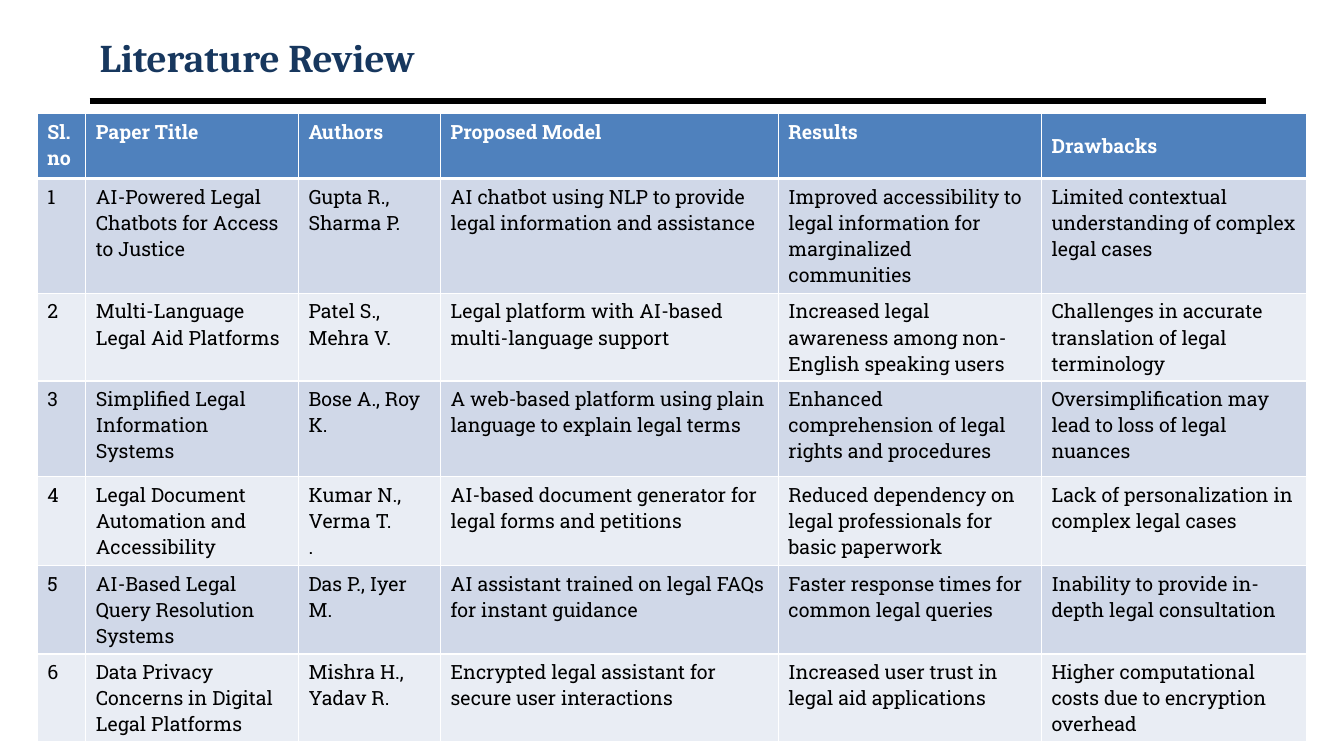
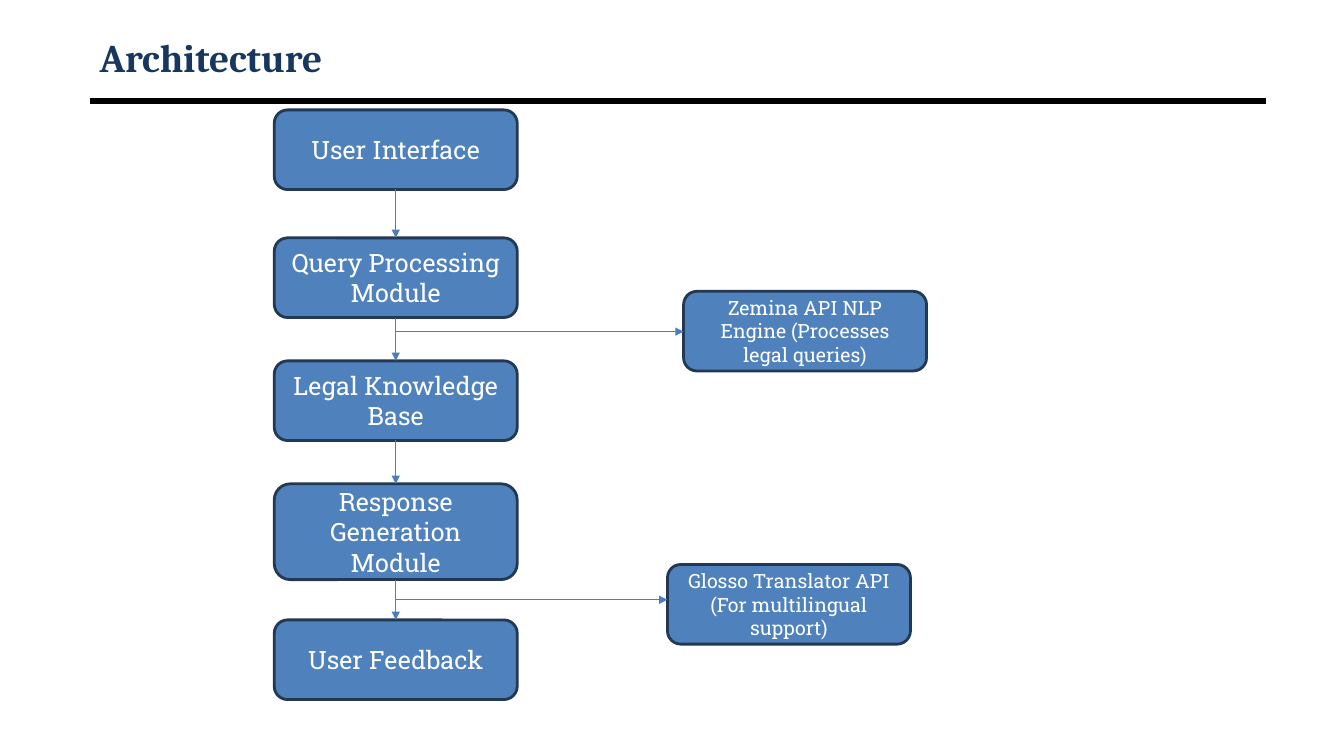
import itertools

import lxml.etree
import pptx
import pptx.dml.color
import pptx.enum.shapes
import pptx.enum.text
import pptx.oxml.ns
import pptx.util

Inches = pptx.util.Inches
Pt = pptx.util.Pt
qn = pptx.oxml.ns.qn
ANCHOR = pptx.enum.text.MSO_ANCHOR
ALIGN = pptx.enum.text.PP_ALIGN

COLORS = {
    "title": "17375E", "rule": "000000", "accent": "4F81BD", "outline": "233953",
    "arrow": "4B7EBC", "odd": "D0D8E8", "even": "E9EDF4", "light": "FFFFFF", "dark": "000000",
}
FORMATS = {
    "title": {"name": "Cambria", "size": Pt(28), "bold": True},
    "header": {"name": "Roboto Slab", "size": Pt(14), "bold": True},
    "body": {"name": "Roboto Slab", "size": Pt(14), "bold": False},
    "step": {"name": "Roboto Slab", "size": Pt(18), "bold": False},
}
TITLE_BOX = (0.89, 0.3, 11.67, 0.53)
RULE_Y = 1

COLUMNS = [0.48, 2.11, 1.41, 3.35, 2.61, 2.63]
ROWS = [0.64, 1.14, 0.87, 0.95, 0.88, 0.88, 0.87]
MIDDLE_CELLS = {(0, 5), (6, 1)}
PAPERS = [
    ("Sl.no", "Paper Title", "Authors", "Proposed Model", "Results", "Drawbacks"),
    ("1", "AI-Powered Legal Chatbots for Access to Justice", "Gupta R., Sharma P.",
     "AI chatbot using NLP to provide legal information and assistance",
     "Improved accessibility to legal information for marginalized communities",
     "Limited contextual understanding of complex legal cases"),
    ("2", "Multi-Language Legal Aid Platforms", "Patel S., Mehra V.",
     "Legal platform with AI-based multi-language support",
     "Increased legal awareness among non-English speaking users",
     "Challenges in accurate translation of legal terminology"),
    ("3", "Simplified Legal Information Systems", "Bose A., Roy K.",
     "A web-based platform using plain language to explain legal terms",
     "Enhanced comprehension of legal rights and procedures",
     "Oversimplification may lead to loss of legal nuances"),
    ("4", "Legal Document Automation and Accessibility", "Kumar N., Verma T.\n.",
     "AI-based document generator for legal forms and petitions",
     "Reduced dependency on legal professionals for basic paperwork",
     "Lack of personalization in complex legal cases"),
    ("5", "AI-Based Legal Query Resolution Systems", "Das P., Iyer M.",
     "AI assistant trained on legal FAQs for instant guidance",
     "Faster response times for common legal queries",
     "Inability to provide in-depth legal consultation"),
    ("6", "Data Privacy Concerns in Digital Legal Platforms", "Mishra H., Yadav R.",
     "Encrypted legal assistant for secure user interactions",
     "Increased user trust in legal aid applications",
     "Higher computational costs due to encryption overhead"),
]

BOX_W, BOX_H = 2.41, 0.79
STEPS = [
    ("User Interface", 0, BOX_H),
    ("Query Processing Module", 1.27, BOX_H),
    ("Legal Knowledge Base", 2.49, BOX_H),
    ("Response Generation Module", 3.71, 0.95),
    ("User Feedback", 5.06, BOX_H),
]
SERVICES = [
    ("Zemina API NLP Engine (Processes legal queries)", 4.06, 1.8, 2.2),
    ("Glosso Translator API (For multilingual support)", 3.9, 4.51, 4.86),
]


def rgb(key):
    """Return the named colour."""
    return pptx.dml.color.RGBColor.from_string(COLORS[key])


def write(tf, text, fmt, color, align=ALIGN.LEFT):
    """Fill a text frame with uniformly formatted text."""
    tf.word_wrap = True
    tf.text = text
    for p in tf.paragraphs:
        p.alignment = align
        for r in p.runs:
            for name, value in FORMATS[fmt].items():
                setattr(r.font, name, value)
            r.font.color.rgb = rgb(color)


def add_line(s, start, end, color, width, arrow=False):
    """Draw a straight line, optionally with an arrowhead at its end."""
    points = [Inches(v) for v in (*start, *end)]
    c = s.shapes.add_connector(pptx.enum.shapes.MSO_CONNECTOR.STRAIGHT, *points)
    c.line.color.rgb = rgb(color)
    c.line.width = Pt(width)
    sp_pr = c._element.spPr
    if arrow:
        lxml.etree.SubElement(sp_pr.find(qn("a:ln")), qn("a:tailEnd"), type="triangle")
    lxml.etree.SubElement(sp_pr, qn("a:effectLst"))


def add_titled_slide(prs, title):
    """Add a blank slide with the shared title and rule."""
    s = prs.slides.add_slide(prs.slide_layouts[6])
    left, _, width, _ = TITLE_BOX
    add_line(s, (left, RULE_Y), (left + width, RULE_Y), "rule", 4.5)
    tf = s.shapes.add_textbox(*map(Inches, TITLE_BOX)).text_frame
    tf.vertical_anchor = ANCHOR.MIDDLE
    write(tf, title, "title", "title")
    return s


def set_borders(cell, bottom):
    """Give a cell white borders, with its own bottom width."""
    tc_pr = cell._tc.get_or_add_tcPr()
    for side, width in {"L": 1, "R": 1, "T": 1, "B": bottom}.items():
        ln = lxml.etree.SubElement(tc_pr, qn(f"a:ln{side}"), w=str(Pt(width)))
        fill = lxml.etree.SubElement(ln, qn("a:solidFill"))
        lxml.etree.SubElement(fill, qn("a:srgbClr"), val=COLORS["light"])


def add_paper_table(s, left, top):
    """Place the table of reviewed papers."""
    box = map(Inches, (left, top, sum(COLUMNS), sum(ROWS)))
    table = s.shapes.add_table(len(ROWS), len(COLUMNS), *box).table
    for column, width in zip(table.columns, COLUMNS):
        column.width = Inches(width)
    for i, (height, texts) in enumerate(zip(ROWS, PAPERS)):
        table.rows[i].height = Inches(height)
        fmt, color, fill = ("body", "dark", "odd" if i % 2 else "even") if i else ("header", "light", "accent")
        for j, text in enumerate(texts):
            cell = table.cell(i, j)
            set_borders(cell, 1 if i else 3)
            cell.fill.solid()
            cell.fill.fore_color.rgb = rgb(fill)
            cell.vertical_anchor = ANCHOR.MIDDLE if (i, j) in MIDDLE_CELLS else ANCHOR.TOP
            write(cell.text_frame, text, fmt, color)


def add_module(s, text, left, top, height, fmt):
    """Draw one rounded module box."""
    box = map(Inches, (left, top, BOX_W, height))
    sp = s.shapes.add_shape(pptx.enum.shapes.MSO_SHAPE.FLOWCHART_ALTERNATE_PROCESS, *box)
    sp.shadow.inherit = False
    sp.fill.solid()
    sp.fill.fore_color.rgb = rgb("accent")
    sp.line.color.rgb = rgb("outline")
    sp.line.width = Pt(2)
    sp.text_frame.vertical_anchor = ANCHOR.MIDDLE
    write(sp.text_frame, text, fmt, "light", ALIGN.CENTER)


def add_flow(s, left, top):
    """Draw the column of steps and the services branching off it."""
    axis = left + BOX_W / 2
    for text, y, height in STEPS:
        add_module(s, text, left, top + y, height, "step")
    for (_, y, height), (_, next_y, _) in itertools.pairwise(STEPS):
        add_line(s, (axis, top + y + height), (axis, top + next_y), "arrow", 0.75, True)
    for text, x, y, arrow_y in SERVICES:
        add_module(s, text, left + x, top + y, BOX_H, "body")
        add_line(s, (axis, top + arrow_y), (left + x, top + arrow_y), "arrow", 0.75, True)


def main():
    """Build and save the presentation."""
    prs = pptx.Presentation()
    prs.slide_width, prs.slide_height = Inches(13.33), Inches(7.5)
    add_paper_table(add_titled_slide(prs, "Literature Review"), 0.37, 1.13)
    add_flow(add_titled_slide(prs, "Architecture"), 2.72, 1.09)
    prs.save("out.pptx")


if __name__ == "__main__":
    main()
